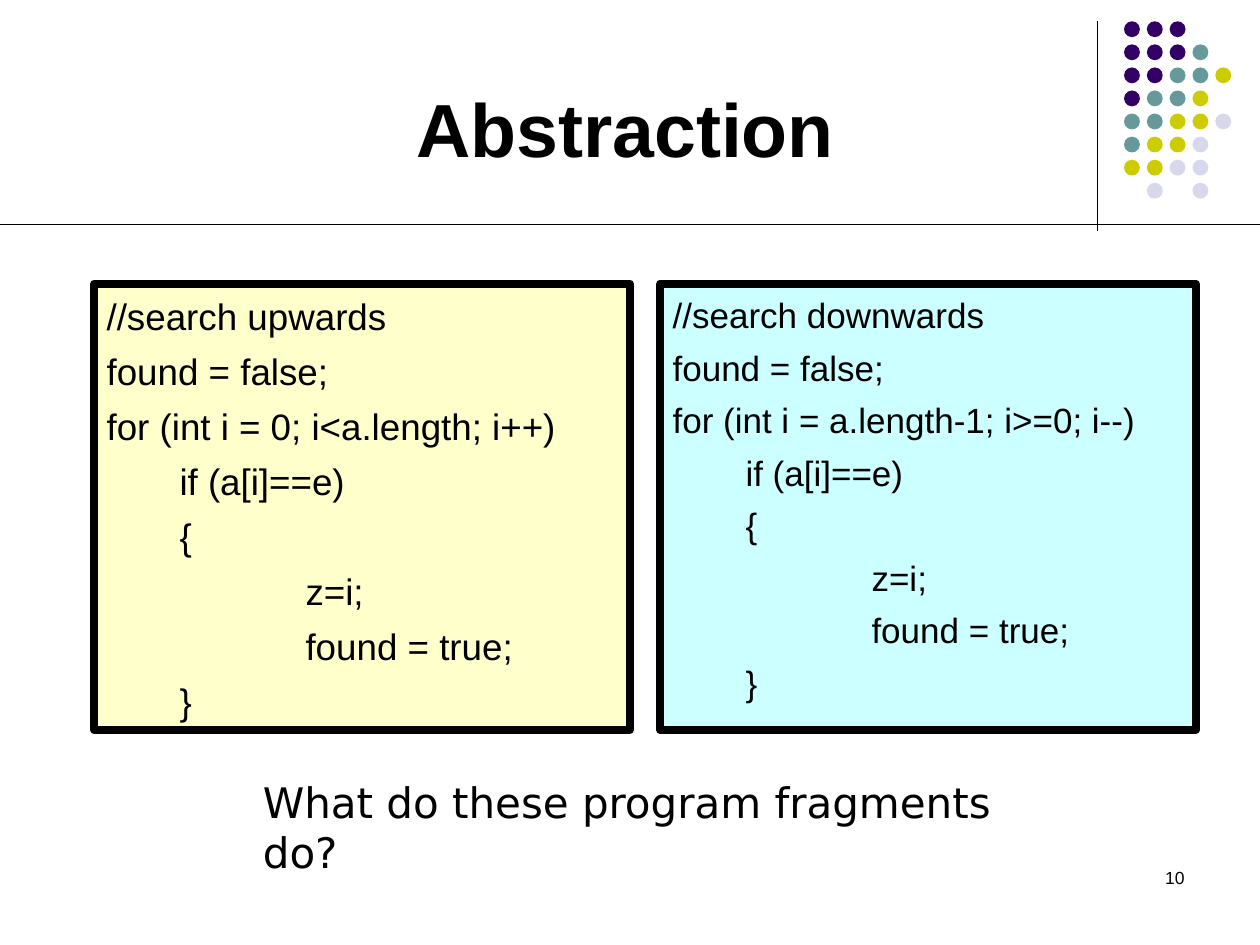
import pptx
import pptx.util
import pptx.dml.color
import pptx.enum.shapes
import pptx.enum.text
import lxml.etree

Cm, Pt = pptx.util.Cm, pptx.util.Pt
RGB = pptx.dml.color.RGBColor.from_string
Align = pptx.enum.text.PP_ALIGN
Anchor = pptx.enum.text.MSO_ANCHOR
Shape = pptx.enum.shapes.MSO_SHAPE

theme = {
    "font": "Arial", "question_font": "DejaVu Sans", "ink": "000000",
    "upwards": "FFFFCC", "downwards": "CCFFFF",
    "dots": {"P": "330066", "T": "669999", "Y": "CCCC00", "L": "D8D8EC"},
    "title_size": 43, "upwards_size": 21, "downwards_size": 20,
    "question_size": 24, "number_size": 10,
}


def style(paragraph, size, font=theme["font"], bold=False):
    paragraph.font.name = font
    paragraph.font.size = Pt(size)
    paragraph.font.bold = bold
    paragraph.font.color.rgb = RGB(theme["ink"])


presentation = pptx.Presentation()
presentation.slide_width, presentation.slide_height = Cm(25.4), Cm(19.05)
slide = presentation.slides.add_slide(presentation.slide_layouts[5])
shapes = slide.shapes

for x1, y1, x2, y2 in [(22.12, 0.43, 22.12, 4.65), (0, 4.52, 25.4, 4.52)]:
    rule = shapes.add_connector(
        pptx.enum.shapes.MSO_CONNECTOR.STRAIGHT, Cm(x1), Cm(y1), Cm(x2), Cm(y2))
    rule.line.color.rgb = RGB(theme["ink"])
    rule.line.width = Pt(0.75)
    lxml.etree.SubElement(rule._element.spPr, pptx.oxml.ns.qn("a:effectLst"))

dot_rows = ["PPP", "PPPT", "PPTTY", "PTTY", "TTYYL", "TYYL", "YYLL", " L L"]
for row, codes in enumerate(dot_rows):
    for column, code in enumerate(codes):
        if code == " ":
            continue
        dot = shapes.add_shape(
            Shape.OVAL, Cm(22.66 + 0.46 * column), Cm(0.43 + 0.465 * row), Cm(0.32), Cm(0.32))
        dot.shadow.inherit = False
        dot.fill.solid()
        dot.fill.fore_color.rgb = RGB(theme["dots"][code])
        dot.line.fill.background()

title = shapes.title
title.left, title.top, title.width, title.height = Cm(1.27), Cm(0.43), Cm(22.66), Cm(3.18)
title.text_frame.text = "Abstraction"
title.text_frame.vertical_anchor = Anchor.BOTTOM
title.text_frame.auto_size = pptx.enum.text.MSO_AUTO_SIZE.NONE
title.text_frame.paragraphs[0].alignment = Align.CENTER
style(title.text_frame.paragraphs[0], theme["title_size"], bold=True)

loop_body = [(1, "if (a[i]==e)"), (1, "{"), (2, "z=i;"), (2, "found = true;"), (1, "}")]
level_indents = [0, 1.47, 4.01]
fragments = [
    ("upwards", 1.9, "for (int i = 0; i<a.length; i++)", 6.2),
    ("downwards", 13.31, "for (int i = a.length-1; i>=0; i--)", 6),
]
for direction, left, loop_head, gap in fragments:
    fragment = shapes.add_shape(Shape.RECTANGLE, Cm(left), Cm(5.72), Cm(10.8), Cm(8.99))
    fragment.shadow.inherit = False
    fragment.fill.solid()
    fragment.fill.fore_color.rgb = RGB(theme[direction])
    fragment.line.color.rgb = RGB(theme["ink"])
    fragment.line.width = Pt(4.5)
    frame = fragment.text_frame
    frame.word_wrap = True
    frame.vertical_anchor = Anchor.TOP
    frame.margin_top = Cm(0.2)
    code = [(0, f"//search {direction}"), (0, "found = false;"), (0, loop_head)] + loop_body
    for index, (level, statement) in enumerate(code):
        line = frame.add_paragraph() if index else frame.paragraphs[0]
        line.text = statement
        line.alignment = Align.LEFT
        line.space_before = Pt(gap if index else 0)
        line._p.get_or_add_pPr().set("marL", str(Cm(level_indents[level])))
        style(line, theme[f"{direction}_size"])

captions = [
    ("What do these program fragments do?", 5.05, 15.52, 15.98, 1.27,
     Align.LEFT, theme["question_size"], theme["question_font"]),
    ("10", 18.21, 17.35, 5.92, 1.27, Align.RIGHT, theme["number_size"], theme["font"]),
]
for wording, left, top, width, height, alignment, size, font in captions:
    caption = shapes.add_textbox(Cm(left), Cm(top), Cm(width), Cm(height)).text_frame
    caption.word_wrap = True
    caption.text = wording
    caption.paragraphs[0].alignment = alignment
    style(caption.paragraphs[0], size, font)

presentation.save("out.pptx")
